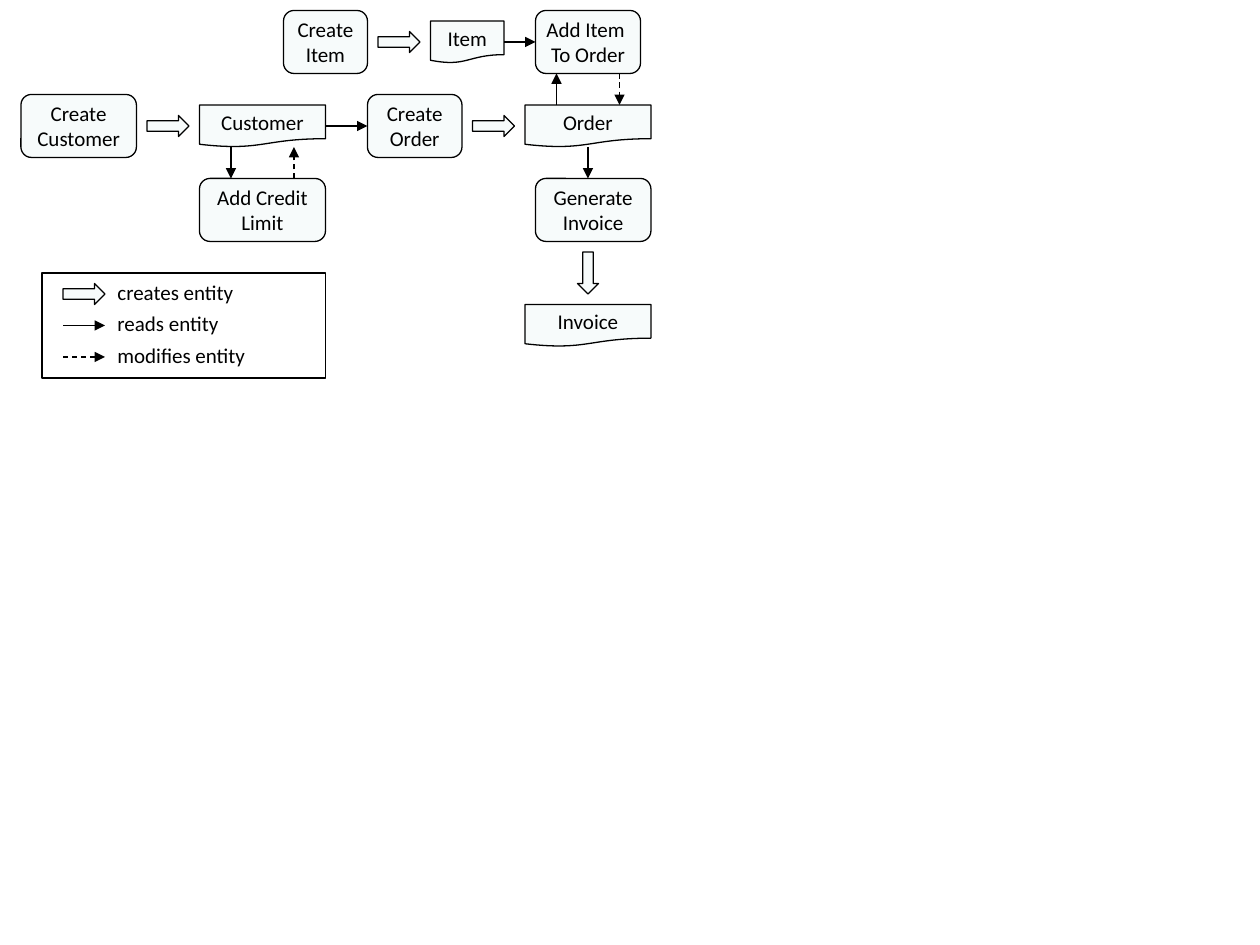
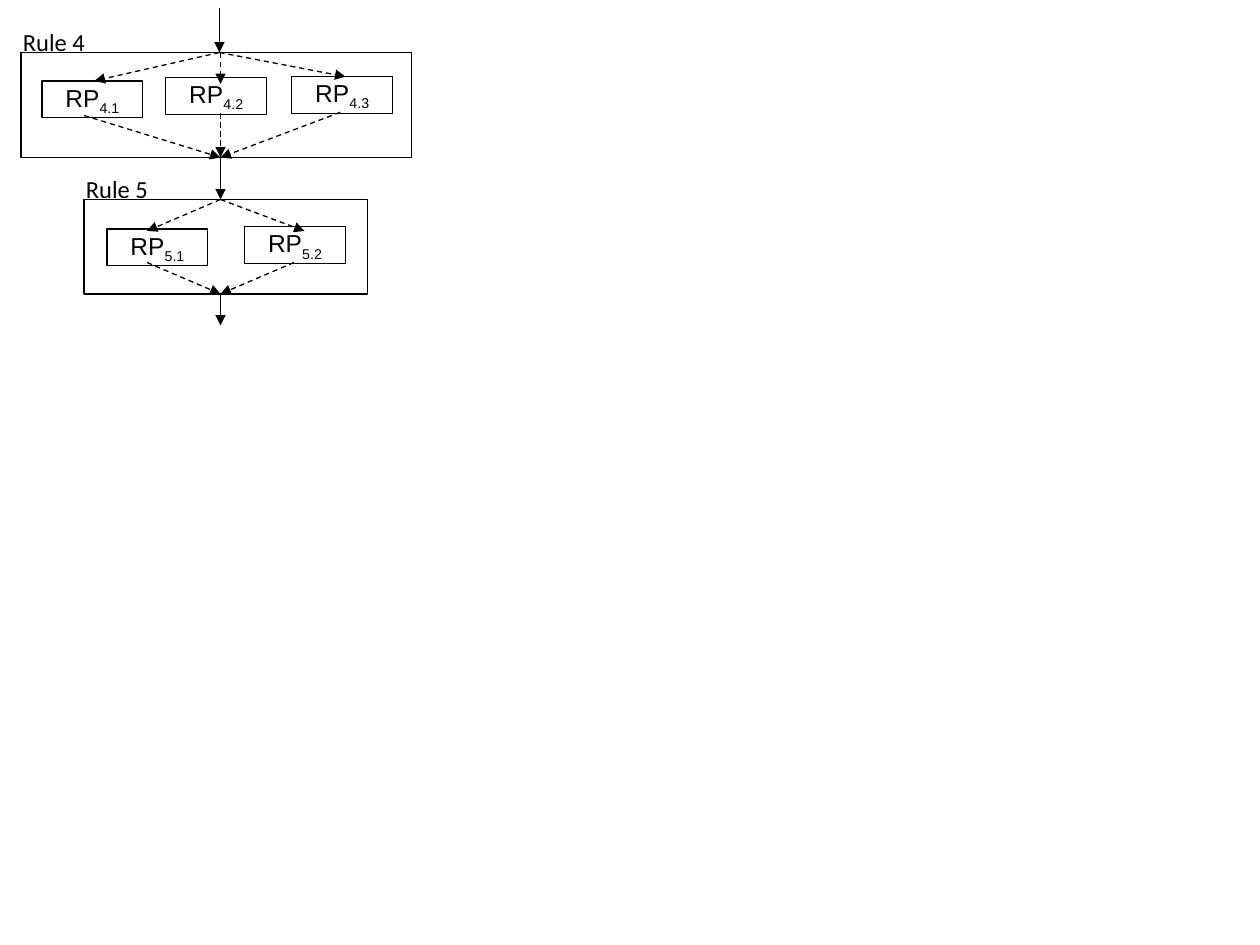
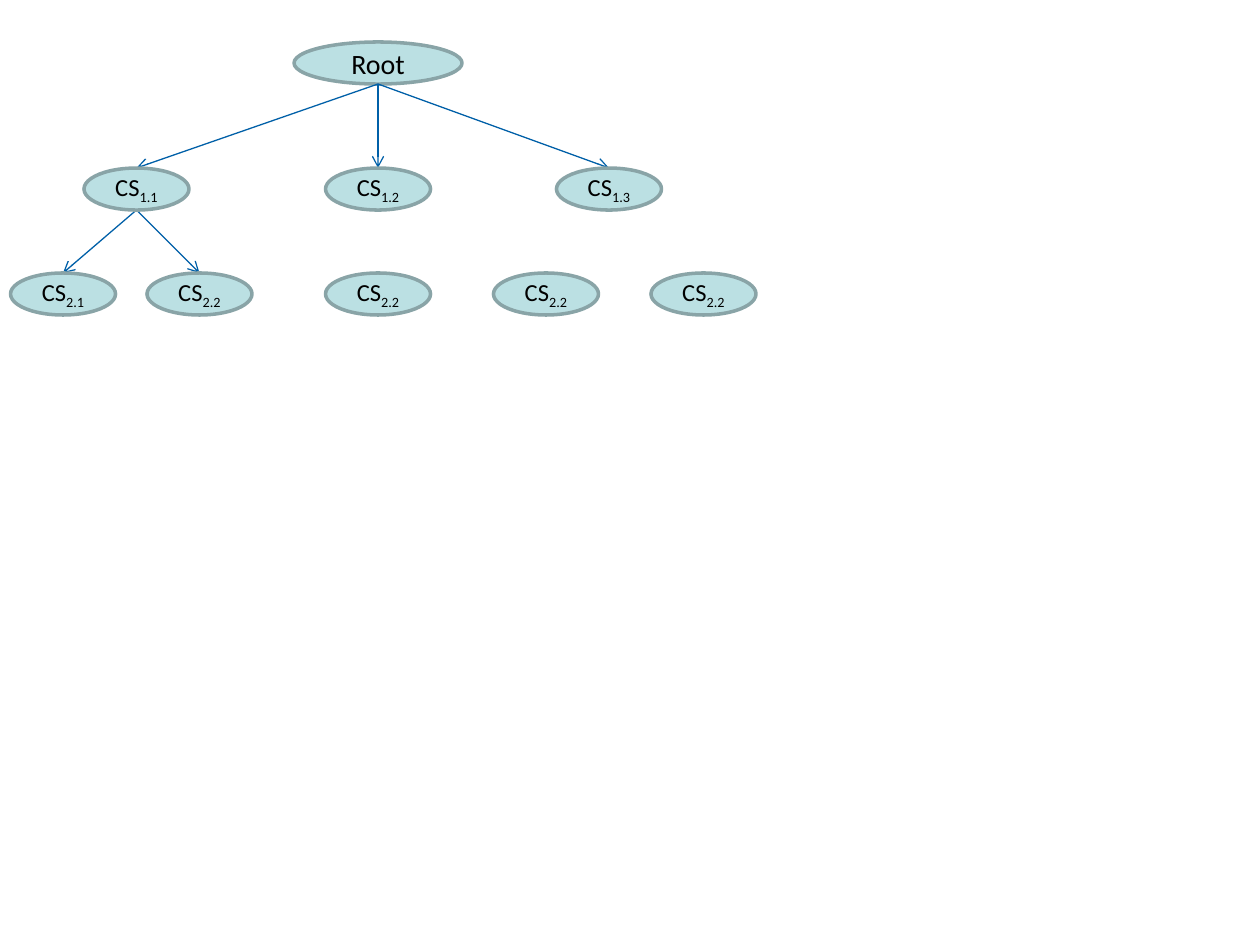
from lxml import etree
from pptx import Presentation
from pptx.dml.color import RGBColor
from pptx.enum.dml import MSO_LINE
from pptx.enum.shapes import MSO_CONNECTOR, MSO_SHAPE
from pptx.enum.text import MSO_ANCHOR, PP_ALIGN
from pptx.oxml.ns import qn
from pptx.util import Cm, Pt

STRAIGHT = MSO_CONNECTOR.STRAIGHT
DASH = MSO_LINE.DASH
RECTANGLE = MSO_SHAPE.RECTANGLE
ROUNDED = MSO_SHAPE.ROUNDED_RECTANGLE
DOCUMENT = MSO_SHAPE.FLOWCHART_DOCUMENT
BLOCK_ARROW = MSO_SHAPE.RIGHT_ARROW
OVAL = MSO_SHAPE.OVAL
MIDDLE, TOP = MSO_ANCHOR.MIDDLE, MSO_ANCHOR.TOP
CENTER, LEFT = PP_ALIGN.CENTER, PP_ALIGN.LEFT

BLACK, AQUA, GREY, BLUE = "000000", "BBE0E3", "89A4A7", "0060A8"
GRID = 2.54 / 12
SMALL = {"name": "Calibri", "size": Pt(12)}
MEDIUM = {"name": "Calibri", "size": Pt(14)}
LARGE = {"name": "Calibri", "size": Pt(16)}
PROCESS = {"name": "Arial", "size": Pt(14)}


def grid(*units):
    """Turn grid units into lengths."""
    return [Cm(unit * GRID) for unit in units]


def color(value):
    """Turn a hex string into a colour."""
    return RGBColor.from_string(value)


class Diagram:
    """Draws diagram elements on the current slide in a shared style."""

    def __init__(self):
        """Start an empty deck."""
        self.deck = Presentation()
        self.deck.slide_width, self.deck.slide_height = Cm(25.4), Cm(19.05)
        self.page = None

    def add_page(self):
        """Start a new blank slide."""
        self.page = self.deck.slides.add_slide(self.deck.slide_layouts[6])

    def label(self, box, text, font, align=CENTER, anchor=MIDDLE, wrap=False):
        """Fill a box with lines of text, with the part after an underscore lowered."""
        frame = box.text_frame
        for name, value in {"word_wrap": wrap, "vertical_anchor": anchor}.items():
            setattr(frame, name, value)
        for index, line in enumerate(text.split("\n")):
            para = frame.add_paragraph() if index else frame.paragraphs[0]
            para.alignment = align
            base, _, lowered = line.partition("_")
            for part, offset in ((base, None), (lowered, "-25000")):
                if not part:
                    continue
                span = para.add_run()
                span.text = part
                for name, value in font.items():
                    setattr(span.font, name, value)
                span.font.color.rgb = color(BLACK)
                if offset:
                    span._r.get_or_add_rPr().set("baseline", offset)

    def shape(self, kind, place, fill=None, opacity=100, line=BLACK, width=0.75):
        """Add a preset shape."""
        box = self.page.shapes.add_shape(kind, *grid(*place))
        box.shadow.inherit = False
        box.line.color.rgb = color(line)
        box.line.width = Pt(width)
        if fill is None:
            box.fill.background()
            return box
        box.fill.solid()
        box.fill.fore_color.rgb = color(fill)
        if opacity < 100:
            tint = box._element.spPr.find(qn("a:solidFill")).find(qn("a:srgbClr"))
            etree.SubElement(tint, qn("a:alpha"), val=str(opacity * 1000))
        return box

    def tinted(self, kind, place, text=""):
        """Add a pale shape, with its label if it has one."""
        box = self.shape(kind, place, AQUA, 11)
        if text:
            self.label(box, text, SMALL)
        return box

    def process(self, left, top, text):
        """Add a rule process box."""
        self.label(self.shape(RECTANGLE, (left, top, 9.6, 3.5)), text, PROCESS)

    def node(self, left, top, text, width=10, font=MEDIUM):
        """Add a tree node."""
        oval = self.shape(OVAL, (left, top, width, 4), AQUA, line=GREY, width=2)
        self.label(oval, text, font, wrap=True)

    def caption(self, place, text, font):
        """Add a text box."""
        box = self.page.shapes.add_textbox(*grid(*place))
        self.label(box, text, font, LEFT, TOP, True)

    def arrow(self, start, end, dashed=False, line=BLACK, head="triangle"):
        """Add a line with an arrowhead at its end."""
        link = self.page.shapes.add_connector(STRAIGHT, *grid(*start, *end))
        link.line.color.rgb = color(line)
        link.line.width = Pt(0.75)
        if dashed:
            link.line.dash_style = DASH
        outline = link._element.spPr.find(qn("a:ln"))
        etree.SubElement(outline, qn("a:tailEnd"), type=head)
        etree.SubElement(link._element.spPr, qn("a:effectLst"))


def draw_entities(diagram):
    """Draw the processes, the entities they use and the legend."""
    diagram.add_page()
    for left, top, width, text in (
        (2, 9, 11, "Create\nCustomer"), (19, 17, 12, "Add Credit\nLimit"),
        (35, 9, 9, "Create\nOrder"), (27, 1, 8, "Create\nItem"),
        (51, 1, 10, "Add Item \nTo Order"), (51, 17, 11, "Generate\nInvoice"),
    ):
        diagram.tinted(ROUNDED, (left, top, width, 6), text)
    for left, top, width, text in (
        (19, 10, 12, "Customer"), (50, 10, 12, "Order"),
        (41, 2, 7, "Item"), (50, 29, 12, "Invoice"),
    ):
        diagram.tinted(DOCUMENT, (left, top, width, 4), text)
    for left, top, turn in (
        (14, 11, 0), (45, 11, 0), (36, 3, 0), (54, 25, 90), (6, 27, 0),
    ):
        diagram.tinted(BLOCK_ARROW, (left, top, 4, 2)).rotation = turn
    for start, end, modifies in (
        ((22, 14), (22, 17), False), ((28, 17), (28, 14), True),
        ((59, 7), (59, 10), True), ((53, 10), (53, 7), False),
        ((31, 12), (35, 12), False), ((48, 4), (51, 4), False),
        ((56, 14), (56, 17), False), ((6, 31), (10, 31), False),
        ((6, 34), (10, 34), True),
    ):
        diagram.arrow(start, end, modifies)
    diagram.shape(RECTANGLE, (4, 26, 27, 10))
    for row, text in enumerate(("creates entity", "reads entity", "modifies entity")):
        diagram.caption((10, 26 + 3 * row, 20, 3.6), text, SMALL)


def draw_rules(diagram):
    """Draw two rules with their parallel processes."""
    diagram.add_page()
    for frame, caption_place, text in (
        ((2, 5, 37.2, 10), (1, 2, 11, 4.1), "Rule 4"),
        ((8, 19, 27, 9), (7, 16, 11, 4.1), "Rule 5"),
    ):
        diagram.shape(RECTANGLE, frame)
        diagram.caption(caption_place, text, MEDIUM)
    for left, top, text in (
        (4, 7.7, "RP_4.1"), (15.8, 7.4, "RP_4.2"), (27.8, 7.3, "RP_4.3"),
        (10.2, 21.8, "RP_5.1"), (23.3, 21.6, "RP_5.2"),
    ):
        diagram.process(left, top, text)
    for start, ends in (
        ((20.9, 5), ((9, 7.7), (32.9, 7.3))), ((21, 5), ((21, 8),)),
        ((21, 19), ((14, 22), (29, 22))),
    ):
        for end in ends:
            diagram.arrow(start, end, True)
    for end, starts in (
        ((21, 15), ((8, 11), (21, 10.8), (32.4, 10.7))),
        ((21, 28), ((14, 25), (28, 25))),
    ):
        for start in starts:
            diagram.arrow(start, end, True)
    for left, top, bottom in ((20.9, 0.8, 5), (21, 15, 19), (21, 28, 31)):
        diagram.arrow((left, top), (left, bottom))


def draw_tree(diagram):
    """Draw the tree below its root."""
    diagram.add_page()
    diagram.node(28, 4, "Root", 16, LARGE)
    for start, ends in (
        ((36, 8), ((13, 16), (58, 16), (36, 16))),
        ((13, 20), ((6, 26), (19, 26))),
    ):
        for end in ends:
            diagram.arrow(start, end, line=BLUE, head="arrow")
    for top, nodes in (
        (16, ((8, "1.1"), (31, "1.2"), (53, "1.3"))),
        (26, ((1, "2.1"), (14, "2.2"), (31, "2.2"), (47, "2.2"), (62, "2.2"))),
    ):
        for left, number in nodes:
            diagram.node(left, top, f"CS_{number}")


def main():
    """Build and save the deck."""
    diagram = Diagram()
    draw_entities(diagram)
    draw_rules(diagram)
    draw_tree(diagram)
    diagram.deck.save("out.pptx")


if __name__ == "__main__":
    main()
